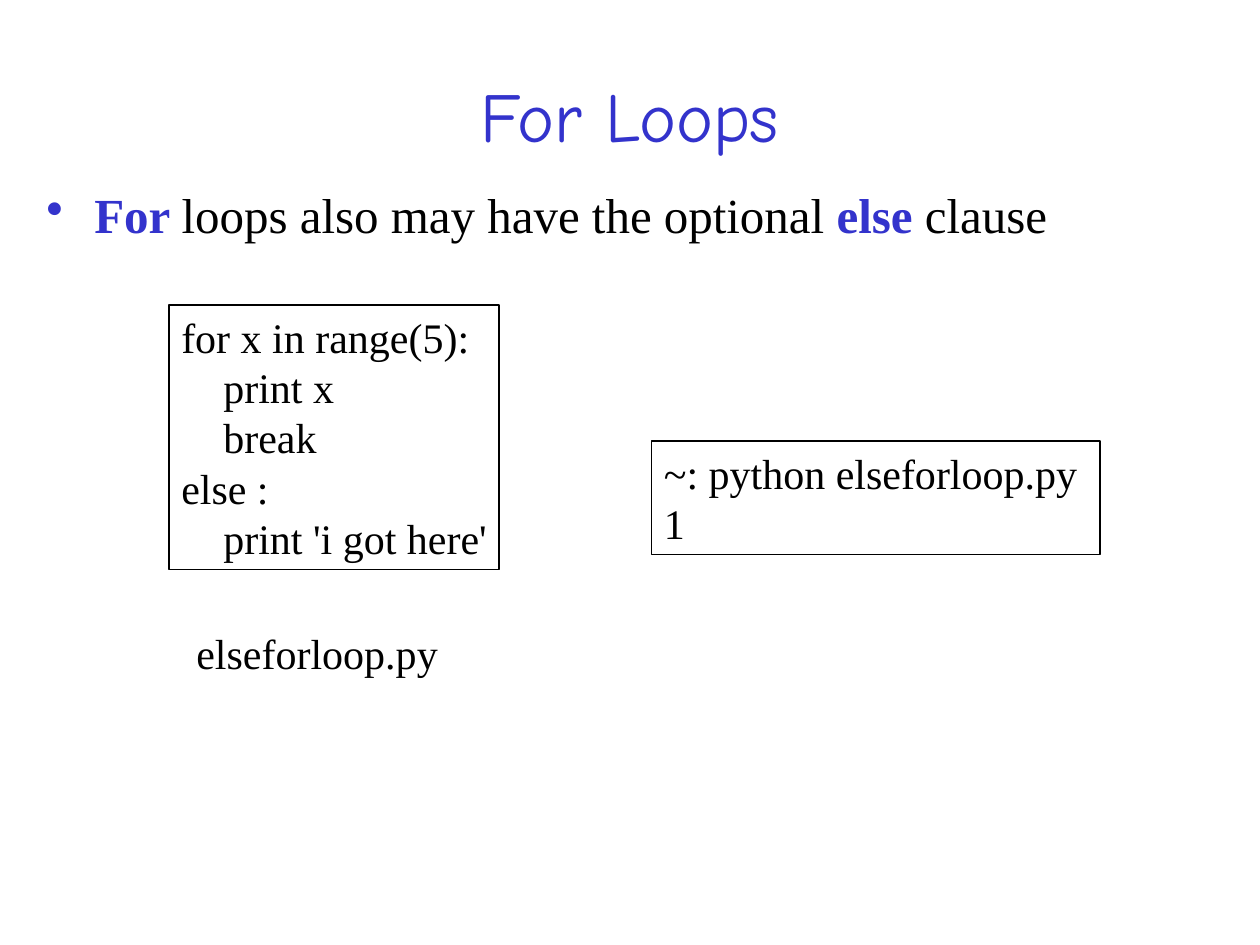
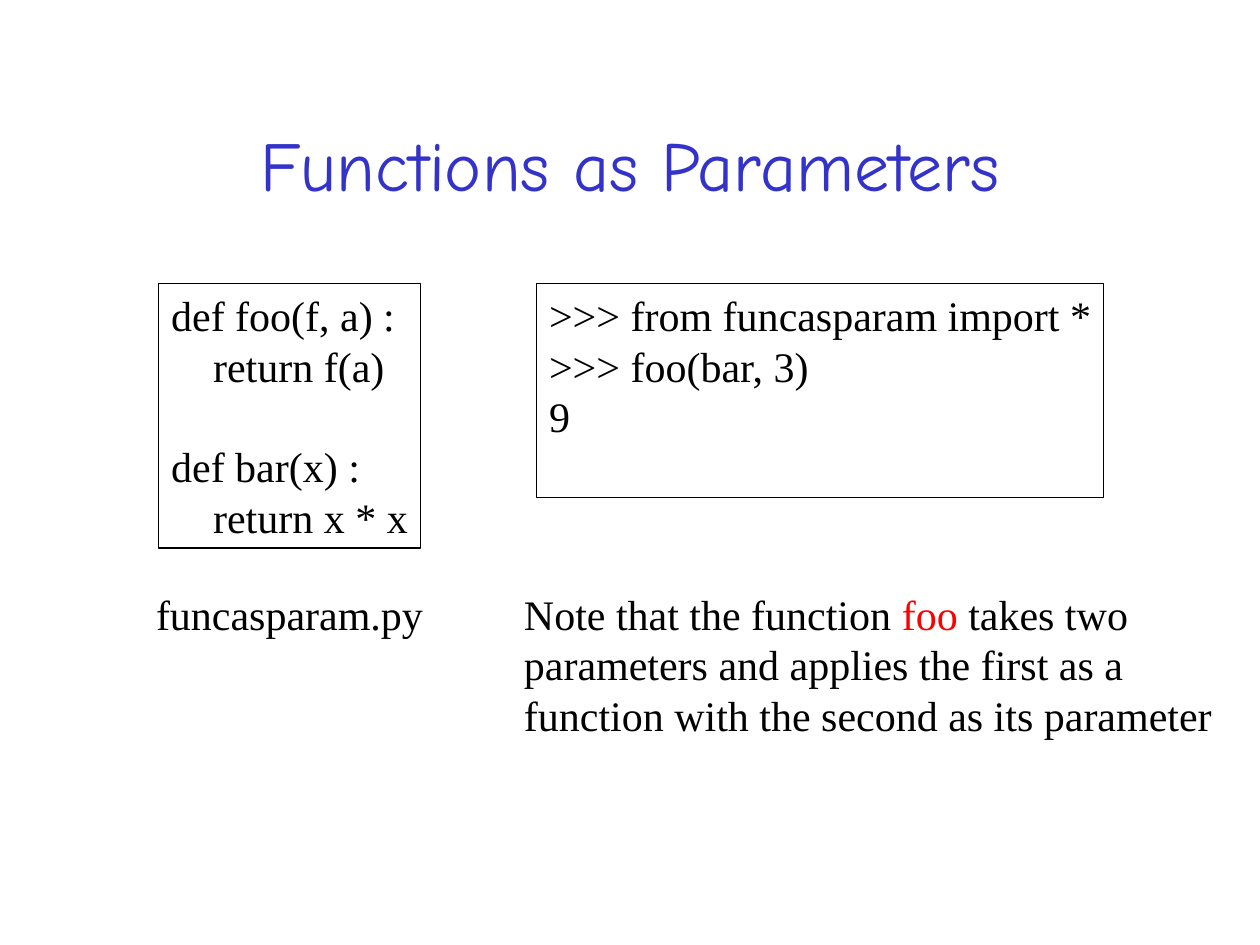
from lxml import etree
from pptx import Presentation
from pptx.dml.color import RGBColor
from pptx.enum.shapes import MSO_SHAPE
from pptx.enum.text import MSO_ANCHOR, PP_ALIGN
from pptx.oxml.ns import qn
from pptx.util import Inches, Pt

RECTANGLE = MSO_SHAPE.RECTANGLE
TOP, MIDDLE = MSO_ANCHOR.TOP, MSO_ANCHOR.MIDDLE
LEFT, CENTER = PP_ALIGN.LEFT, PP_ALIGN.CENTER

BLACK = RGBColor(0x00, 0x00, 0x00)
BLUE = RGBColor(0x33, 0x33, 0xCC)
RED = RGBColor(0xFF, 0x00, 0x00)

TITLE_FONT, BODY_FONT = "Comic Neue", "Times New Roman"
TITLE_SIZE, BULLET_SIZE, CODE_SIZE = Pt(40), Pt(28), Pt(24)
LINE_PITCH = Pt(28.8)
CODE_INDENT = Pt(24)
BULLET_INDENT = Inches(0.38)

# The slide is a grid of 100 columns by 75 rows.
SLIDE_W, SLIDE_H = Inches(10), Inches(7.5)
COL, ROW = SLIDE_W / 100, SLIDE_H / 75


def on_grid(box):
    """Turn (column, row, columns, rows) into slide lengths."""
    return [round(n * unit) for n, unit in zip(box, (COL, ROW, COL, ROW))]


def set_frame(sp, anchor=TOP):
    """Wrap the text and let a full line run up to the right edge."""
    tf = sp.text_frame
    tf.word_wrap = True
    tf.vertical_anchor = anchor
    tf.margin_left = Inches(0.1)
    tf.margin_right = 0
    tf.margin_top = tf.margin_bottom = Inches(0.05)
    return tf


def add_run(p, text, size=CODE_SIZE, color=BLACK, font=BODY_FONT, bold=False):
    r = p.add_run()
    r.text = text
    r.font.name, r.font.size, r.font.bold = font, size, bold
    r.font.color.rgb = color


def add_title(slide, box, text):
    tf = set_frame(slide.shapes.add_textbox(*on_grid(box)), MIDDLE)
    tf.margin_right = tf.margin_left
    p = tf.paragraphs[0]
    p.alignment = CENTER
    add_run(p, text, TITLE_SIZE, BLUE, TITLE_FONT)


def add_bullet(slide, box, parts):
    """Add one bullet; parts are (text, is_keyword) pairs."""
    p = set_frame(slide.shapes.add_textbox(*on_grid(box))).paragraphs[0]
    p.line_spacing, p.space_before = 0.9, Pt(7)
    for text, keyword in parts:
        add_run(p, text, BULLET_SIZE, BLUE if keyword else BLACK, bold=keyword)
    ppr = p._p.get_or_add_pPr()
    ppr.set("marL", str(BULLET_INDENT))
    ppr.set("indent", str(-BULLET_INDENT))
    color = etree.SubElement(ppr, qn("a:buClr"))
    etree.SubElement(color, qn("a:srgbClr")).set("val", str(BLUE))
    etree.SubElement(ppr, qn("a:buChar")).set("char", "•")


def add_code(slide, box, lines):
    """Add a framed listing; a tab indents a line, None leaves a gap."""
    sp = slide.shapes.add_shape(RECTANGLE, *on_grid(box))
    sp.shadow.inherit = False
    sp.fill.background()
    sp.line.color.rgb, sp.line.width = BLACK, Pt(0.75)
    tf = set_frame(sp)
    p, gap = tf.paragraphs[0], False
    for line in lines:
        if line is None:
            gap = True
            continue
        if p.runs:
            p = tf.add_paragraph()
        p.alignment, p.line_spacing = LEFT, LINE_PITCH
        if gap:
            p.space_before, gap = LINE_PITCH, False
        if line.startswith("\t"):
            p._p.get_or_add_pPr().set("marL", str(CODE_INDENT))
        add_run(p, line.lstrip("\t"))


def add_note(slide, box, parts):
    """Add plain text; parts are (text, color) pairs."""
    p = set_frame(slide.shapes.add_textbox(*on_grid(box))).paragraphs[0]
    p.line_spacing = LINE_PITCH
    for text, color in parts:
        add_run(p, text, color=color)


def build_for_loops(slide):
    add_title(slide, (7.5, 4.4, 85, 9.4), "For Loops")
    add_bullet(slide, (2.7, 14.7, 95.3, 7.9), [
        ("For ", True), ("loops also may have the optional ", False),
        ("else", True), (" clause", False)])
    add_code(slide, (13.4, 24.2, 26.2, 21), [
        "for x in range(5):", "\tprint x", "\tbreak",
        "else :", "\tprint 'i got here'"])
    add_code(slide, (51.7, 35, 35.6, 9), ["~: python elseforloop.py", "1"])
    add_note(slide, (14.6, 49.3, 21.1, 5), [("elseforloop.py", BLACK)])


def build_functions_as_parameters(slide):
    code_row, note_row = 22.5, 46.2
    add_title(slide, (7.5, 6.7, 85, 12.5), "Functions as Parameters")
    add_code(slide, (12.6, code_row, 20.8, 21), [
        "def foo(f, a) :", "\treturn f(a)", None,
        "def bar(x) :", "\treturn x * x"])
    add_code(slide, (42.6, code_row, 45, 17), [
        ">>> from funcasparam import *", ">>> foo(bar, 3)", "9"])
    add_note(slide, (40.6, note_row, 55.8, 17), [
        ("Note that the function ", BLACK), ("foo", RED),
        (" takes two parameters and applies the first as a function "
         "with the second as its parameter", BLACK)])
    add_note(slide, (11.4, note_row, 23.6, 5), [("funcasparam.py", BLACK)])


def main():
    prs = Presentation()
    prs.slide_width, prs.slide_height = SLIDE_W, SLIDE_H
    blank = prs.slide_layouts[6]
    for build in (build_for_loops, build_functions_as_parameters):
        build(prs.slides.add_slide(blank))
    prs.save("out.pptx")


if __name__ == "__main__":
    main()
